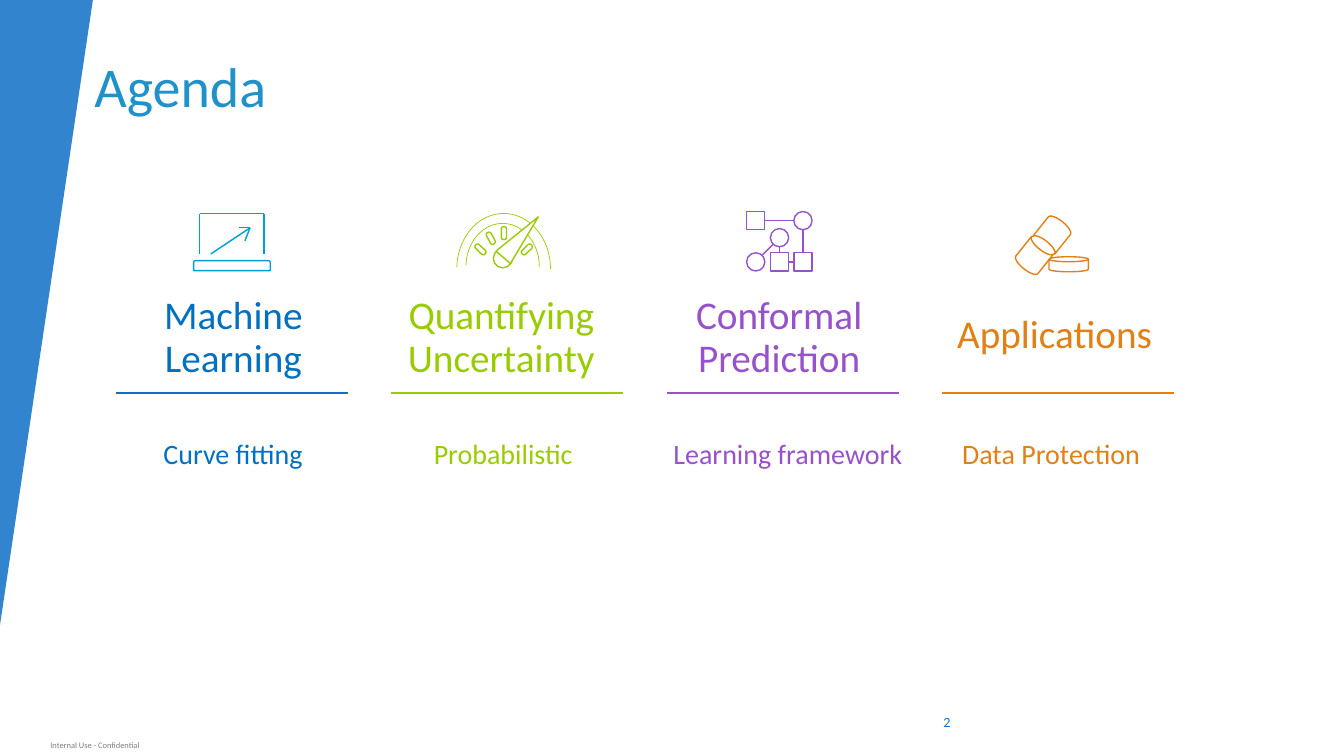
from dataclasses import dataclass
from lxml.etree import SubElement
from pptx import Presentation
from pptx.dml.color import RGBColor
from pptx.enum.shapes import MSO_CONNECTOR, MSO_SHAPE
from pptx.enum.text import MSO_ANCHOR, PP_ALIGN
from pptx.oxml.ns import qn
from pptx.util import Cm, Pt


@dataclass(frozen=True)
class Theme:
    """Colours, fonts and sizes of the deck."""
    font: str = "Calibri"
    number_font: str = "Lato"
    white: str = "FFFFFF"
    primary: str = "0F6FC6"
    title: str = "2191C9"
    footer: str = "7F7F7F"
    blue: str = "0070C0"
    cyan: str = "009DD9"
    green: str = "99CC00"
    purple: str = "9751CB"
    orange: str = "E18015"
    title_size: float = 40
    heading_size: float = 28
    topic_size: float = 20
    number_size: float = 9
    footer_size: float = 6
    rule_width: float = 1.5
    icon_width: float = 1
    dial_width: float = 0.5


THEME = Theme()


def set_values(target, values):
    """Set each attribute of the target from a dict."""
    for name, value in values.items():
        setattr(target, name, value)


def write_text(shape, text, size, color, font=THEME.font, inset=(0.25, 0.13),
               anchor=MSO_ANCHOR.TOP, align=PP_ALIGN.LEFT, spacing=1.0):
    """Fill a shape with one formatted paragraph."""
    frame = shape.text_frame
    frame.text = text
    across, down = map(Cm, inset)
    set_values(frame, dict(word_wrap=True, vertical_anchor=anchor,
                           margin_left=across, margin_right=across,
                           margin_top=down, margin_bottom=down))
    paragraph = frame.paragraphs[0]
    set_values(paragraph, dict(alignment=align, line_spacing=spacing))
    run_font = paragraph.runs[0].font
    set_values(run_font, dict(name=font, size=Pt(size)))
    run_font.color.rgb = RGBColor.from_string(color)


def add_text(slide, box, text, size, color, **options):
    """Add a text box at a box given in centimetres."""
    write_text(slide.shapes.add_textbox(*map(Cm, box)), text, size, color, **options)


def add_outline(shapes, kind, box, color, width=THEME.icon_width, rotation=0,
                fill=None, adjustments=(), flip=False):
    """Add an outlined preset shape."""
    shape = shapes.add_shape(kind, *map(Cm, box))
    set_values(shape, dict(rotation=rotation))
    shape.shadow.inherit = False
    if fill:
        shape.fill.solid()
        shape.fill.fore_color.rgb = RGBColor.from_string(fill)
    else:
        shape.fill.background()
    shape.line.color.rgb = RGBColor.from_string(color)
    shape.line.width = Pt(width)
    for index, value in enumerate(adjustments):
        shape.adjustments[index] = value
    if flip:
        shape._element.spPr.find(qn("a:xfrm")).set("flipH", "1")
    return shape


def add_line(shapes, points, color, width=THEME.icon_width):
    """Add straight connectors through consecutive points."""
    for start, end in zip(points, points[1:]):
        line = shapes.add_connector(MSO_CONNECTOR.STRAIGHT, *map(Cm, start + end))
        line.line.color.rgb = RGBColor.from_string(color)
        line.line.width = Pt(width)
        SubElement(line._element.spPr, qn("a:effectLst"))


def draw_laptop(shapes, left, top, color):
    """Draw a laptop with a rising arrow."""
    paths = [[(2.11, 1.07), (2.11, 0.05), (3.73, 0.05), (3.73, 1.07)],
             [(2.39, 1.07), (3.38, 0.41), (3.1, 0.41)],
             [(3.38, 0.41), (3.25, 0.74)]]
    for points in paths:
        add_line(shapes, [(left + x, top + y) for x, y in points], color)
    add_outline(shapes, MSO_SHAPE.ROUND_2_SAME_RECTANGLE,
                (left + 1.96, top + 1.24, 1.93, 0.25), color)


def draw_gauge(shapes, left, top, color):
    """Draw a dial with ticks and a needle."""
    for x, y, width, height in [(1.88, 0.3, 1.85, 2.18), (1.65, 0.05, 2.36, 2.79)]:
        add_outline(shapes, MSO_SHAPE.ARC, (left + x, top + y, width, height), color,
                    THEME.dial_width, adjustments=(109.24, 0))
    for x, y, rotation in [(2.08, 0.89, 44), (2.34, 0.61, 62),
                           (2.67, 0.48, 90), (3.25, 0.89, 316)]:
        add_outline(shapes, MSO_SHAPE.FLOWCHART_TERMINATOR,
                    (left + x, top + y, 0.33, 0.13), color,
                    rotation=rotation, fill=THEME.white)
    add_outline(shapes, MSO_SHAPE.CHORD, (left + 2.57, top + 0.94, 0.48, 0.48), color,
                rotation=330, fill=THEME.white)
    add_outline(shapes, MSO_SHAPE.ISOSCELES_TRIANGLE,
                (left + 3.02, top - 0.03, 0.48, 1.35), color,
                rotation=41, fill=THEME.white)


def draw_network(shapes, left, top, color):
    """Draw linked square and round nodes."""
    square, circle = MSO_SHAPE.RECTANGLE, MSO_SHAPE.OVAL
    nodes = [(square, 2.01, 0), (circle, 3.2, 0), (circle, 2.61, 0.43),
             (circle, 2.01, 1.04), (square, 3.2, 1.04), (square, 2.61, 1.04)]
    for kind, x, y in nodes:
        add_outline(shapes, kind, (left + x, top + y, 0.46, 0.46), color)
    links = [[(2.47, 0.23), (3.2, 0.23)], [(3.43, 0.46), (3.43, 1.04)],
             [(3.2, 1.27), (3.07, 1.27)], [(2.84, 1.04), (2.84, 0.89)],
             [(2.67, 0.83), (2.41, 1.09)]]
    for points in links:
        add_line(shapes, [(left + x, top + y) for x, y in points], color)


def draw_barrels(shapes, left, top, color):
    """Draw a tilted barrel and a flat disk."""
    for x, y, flip in [(1.91, 0.79, False), (2.41, 0.2, True)]:
        add_outline(shapes, MSO_SHAPE.FLOWCHART_STORED_DATA,
                    (left + x, top + y, 0.76, 0.71), color, rotation=308.6, flip=flip)
    add_outline(shapes, MSO_SHAPE.FLOWCHART_MAGNETIC_DISK,
                (left + 2.69, top + 1.14, 0.99, 0.38), color)


def add_topic(slide, box, topic):
    """Place an icon, heading, rule and description in a column box."""
    left, top, width = box
    draw_icon, heading, detail, color, icon_color, rule_color, drop, shifts = topic
    heading_shift, detail_shift = shifts
    draw_icon(slide.shapes.add_group_shape().shapes, left, top, icon_color)
    heading_width, detail_width = 6.0, 6.63
    add_text(slide, (left + (width - heading_width) / 2 + heading_shift,
                     top + 1.88 + drop, heading_width, 1.27),
             heading, THEME.heading_size, color,
             inset=(0, 0.25), align=PP_ALIGN.CENTER, spacing=0.9)
    add_line(slide.shapes, [(left, top + 4.58), (left + width, top + 4.58)],
             rule_color, THEME.rule_width)
    add_text(slide, (left + (width - detail_width) / 2 + detail_shift,
                     top + 4.7, detail_width, 1.73),
             detail, THEME.topic_size, color, align=PP_ALIGN.CENTER, spacing=2.0)


def add_frame(slide, box):
    """Place the side wedge, title, page number and footer."""
    left, top, width, height = box
    wedge = add_outline(slide.shapes, MSO_SHAPE.ISOSCELES_TRIANGLE,
                        (left, top, 2.34, 15.75), THEME.primary, rotation=180,
                        fill=THEME.primary, adjustments=(1,))
    wedge.line.fill.background()
    color = wedge._element.spPr.find(qn("a:solidFill"))[0]
    SubElement(color, qn("a:alpha"), val="85000")
    title = slide.shapes.title
    set_values(title, dict(left=Cm(left + 2.13), top=Cm(top + 1.17),
                           width=Cm(23.88), height=Cm(3.66)))
    write_text(title, "Agenda", THEME.title_size, THEME.title)
    add_text(slide, (left + width - 11.56, top + height - 1.35, 1.9, 1.02), "2",
             THEME.number_size, THEME.primary, font=THEME.number_font,
             anchor=MSO_ANCHOR.MIDDLE, align=PP_ALIGN.RIGHT)
    add_text(slide, (left + 1.27, top + height - 0.53, 2.87, 0.53),
             "Internal Use - Confidential", THEME.footer_size, THEME.footer,
             inset=(0, 0), anchor=MSO_ANCHOR.MIDDLE)


def build_agenda(presentation):
    """Build the agenda slide with its four topics."""
    slide = presentation.slides.add_slide(presentation.slide_layouts[5])
    add_frame(slide, (0, 0, 33.86, 19.05))
    blue, green, purple, orange = THEME.blue, THEME.green, THEME.purple, THEME.orange
    topics = [
        (draw_laptop, "Machine Learning", "Curve fitting",
         blue, THEME.cyan, THEME.primary, 0, (0.04, 0.03)),
        (draw_gauge, "Quantifying Uncertainty", "Probabilistic",
         green, green, green, 0, (-0.15, -0.1)),
        (draw_network, "Conformal Prediction", "Learning framework",
         purple, purple, purple, 0, (-0.09, 0.13)),
        (draw_barrels, "Applications", "Data Protection",
         orange, orange, orange, 0.46, (-0.09, -0.18)),
    ]
    for index, topic in enumerate(topics):
        add_topic(slide, (2.92 + 6.94 * index, 5.33, 5.84), topic)


def main():
    """Create and save the presentation."""
    presentation = Presentation()
    set_values(presentation, dict(slide_width=Cm(33.86), slide_height=Cm(19.05)))
    build_agenda(presentation)
    presentation.save("out.pptx")


if __name__ == "__main__":
    main()
